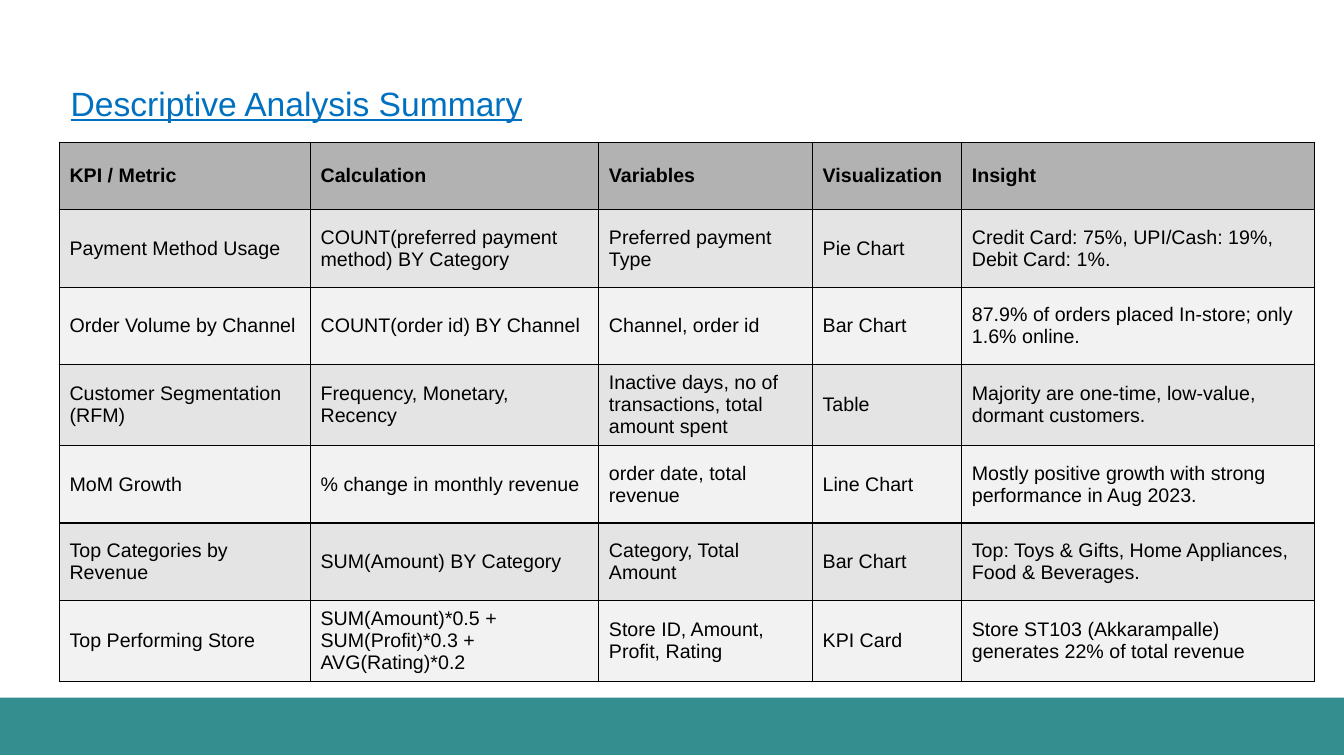
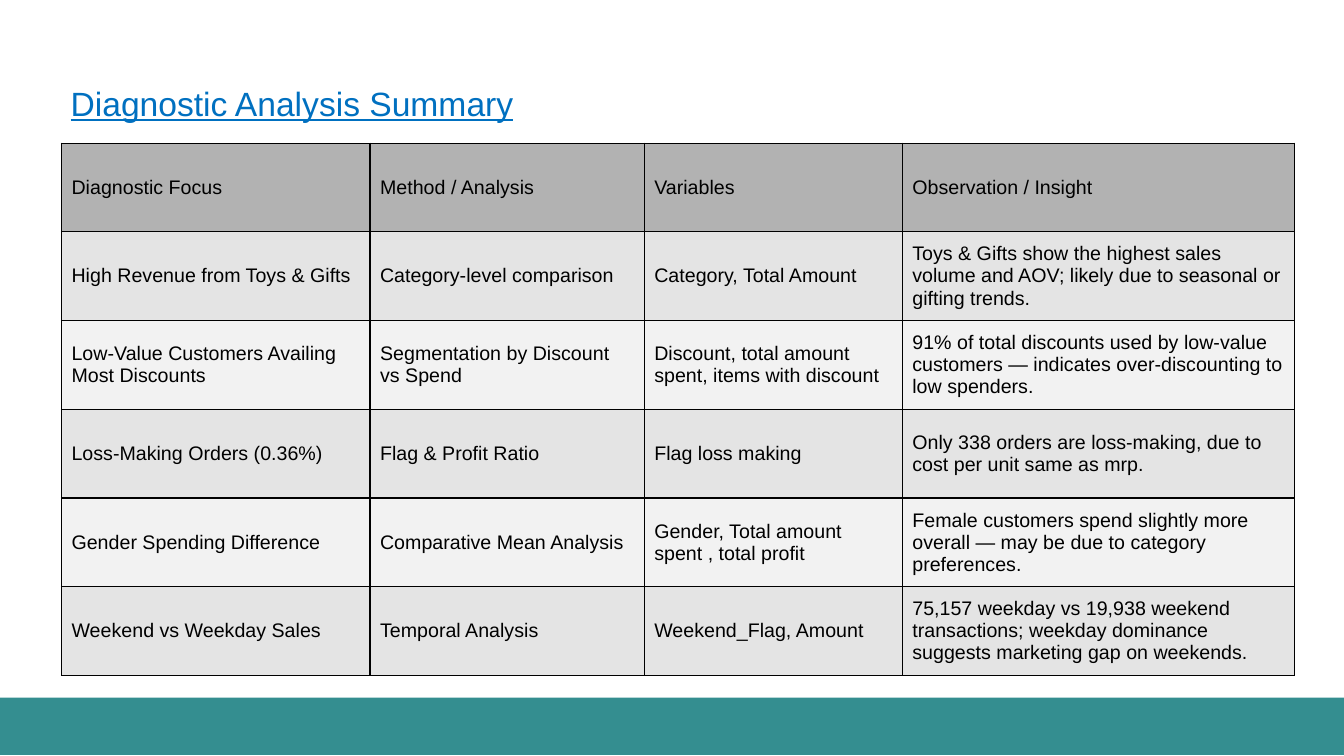
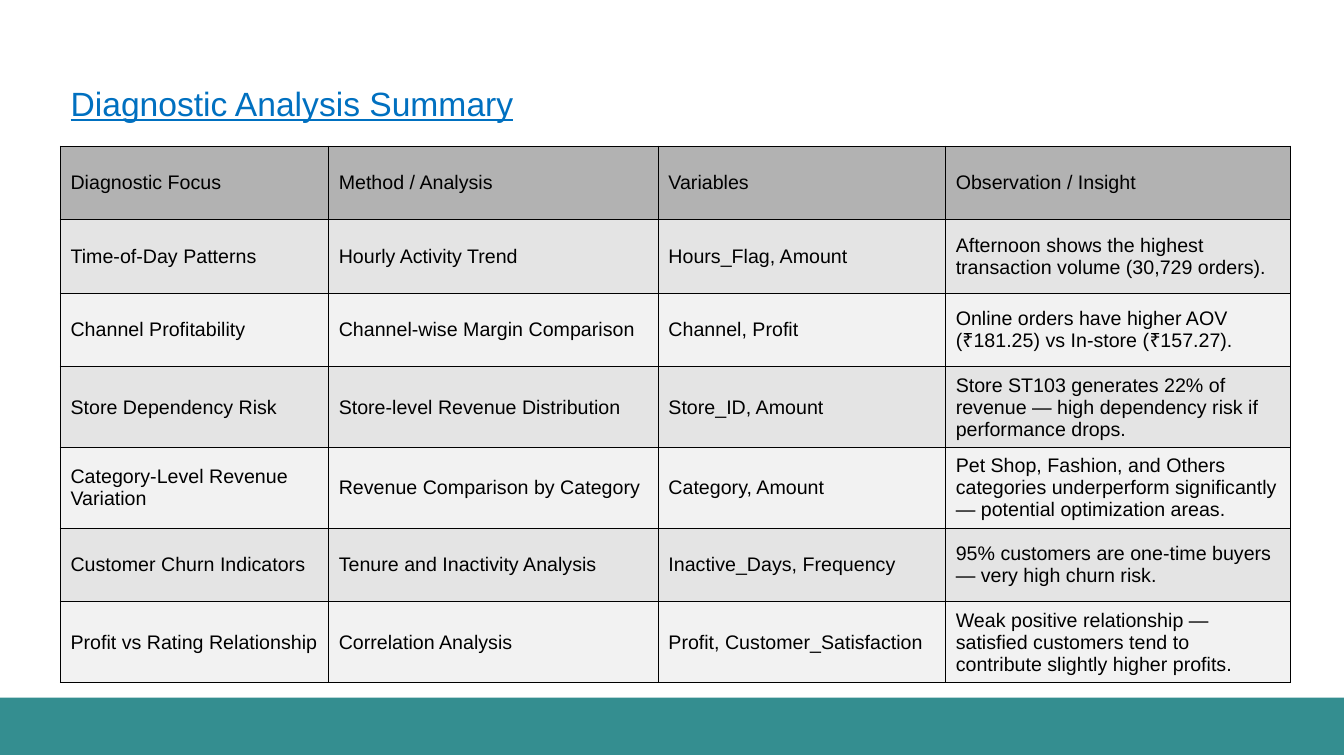
import pptx
import pptx.dml.color
import pptx.enum.shapes
import pptx.enum.text
import pptx.oxml
import pptx.oxml.ns
import pptx.util
from pptx.util import Inches

FONT = "Arial"
TEAL = "348E90"
BLUE = "0070C0"
BLACK = "000000"
HEADER_FILL = "B2B2B2"
ROW_FILLS = ["F2F2F2", "E4E4E4"]


def color(hex_string):
    return pptx.dml.color.RGBColor.from_string(hex_string)


def add_text(frame, text, size, hex_string):
    span = frame.paragraphs[0].add_run()
    span.text = text
    span.font.name = FONT
    span.font.size = pptx.util.Pt(size)
    span.font.color.rgb = color(hex_string)
    return span


# Content: title and its width, table position, column widths, row heights, cells
diagnostic_header = ["Diagnostic Focus", "Method / Analysis", "Variables", "Observation / Insight"]
summaries = [
    {
        "title": "Descriptive Analysis Summary", "title_width": 4.73,
        "left": 0.59, "top": 1.41, "bold_header": True,
        "columns": [2.49, 2.86, 2.12, 1.48, 3.5],
        "rows": [0.67] + [0.77] * 6,
        "cells": [
            ["KPI / Metric", "Calculation", "Variables", "Visualization", "Insight"],
            ["Payment Method Usage", "COUNT(preferred payment method) BY Category",
             "Preferred payment Type", "Pie Chart",
             "Credit Card: 75%, UPI/Cash: 19%, Debit Card: 1%."],
            ["Order Volume by Channel", "COUNT(order id) BY Channel",
             "Channel, order id", "Bar Chart",
             "87.9% of orders placed In-store; only 1.6% online."],
            ["Customer Segmentation (RFM)", "Frequency, Monetary, Recency",
             "Inactive days, no of transactions, total amount spent", "Table",
             "Majority are one-time, low-value, dormant customers."],
            ["MoM Growth", "% change in monthly revenue",
             "order date, total revenue", "Line Chart",
             "Mostly positive growth with strong performance in Aug 2023."],
            ["Top Categories by Revenue", "SUM(Amount) BY Category",
             "Category, Total Amount", "Bar Chart",
             "Top: Toys & Gifts, Home Appliances, Food & Beverages."],
            ["Top Performing Store", "SUM(Amount)*0.5 + SUM(Profit)*0.3 + AVG(Rating)*0.2",
             "Store ID, Amount, Profit, Rating", "KPI Card",
             "Store ST103 (Akkarampalle) generates 22% of total revenue"],
        ],
    },
    {
        "title": "Diagnostic Analysis Summary", "title_width": 4.64,
        "left": 0.61, "top": 1.42, "bold_header": False,
        "columns": [3.06, 2.72, 2.56, 3.89],
        "rows": [0.88] * 6,
        "cells": [
            diagnostic_header,
            ["High Revenue from Toys & Gifts", "Category-level comparison",
             "Category, Total Amount",
             "Toys & Gifts show the highest sales volume and AOV; likely due to seasonal or gifting trends."],
            ["Low-Value Customers Availing Most Discounts", "Segmentation by Discount vs Spend",
             "Discount, total amount spent, items with discount",
             "91% of total discounts used by low-value customers — indicates over-discounting to low spenders."],
            ["Loss-Making Orders (0.36%)", "Flag & Profit Ratio", "Flag loss making",
             "Only 338 orders are loss-making, due to cost per unit same as mrp."],
            ["Gender Spending Difference", "Comparative Mean Analysis",
             "Gender, Total amount spent , total profit",
             "Female customers spend slightly more overall — may be due to category preferences."],
            ["Weekend vs Weekday Sales", "Temporal Analysis", "Weekend_Flag, Amount",
             "75,157 weekday vs 19,938 weekend transactions; "
             "weekday dominance suggests marketing gap on weekends."],
        ],
    },
    {
        "title": "Diagnostic Analysis Summary", "title_width": 4.64,
        "left": 0.6, "top": 1.45, "bold_header": False,
        "columns": [2.66, 3.27, 2.85, 3.42],
        "rows": [0.73, 0.73, 0.73, 0.78, 0.78, 0.73, 0.78],
        "cells": [
            diagnostic_header,
            ["Time-of-Day Patterns", "Hourly Activity Trend", "Hours_Flag, Amount",
             "Afternoon shows the highest transaction volume (30,729 orders)."],
            ["Channel Profitability", "Channel-wise Margin Comparison", "Channel, Profit",
             "Online orders have higher AOV (₹181.25) vs In-store (₹157.27)."],
            ["Store Dependency Risk", "Store-level Revenue Distribution", "Store_ID, Amount",
             "Store ST103 generates 22% of revenue — high dependency risk if performance drops."],
            ["Category-Level Revenue Variation", "Revenue Comparison by Category", "Category, Amount",
             "Pet Shop, Fashion, and Others categories underperform significantly "
             "— potential optimization areas."],
            ["Customer Churn Indicators", "Tenure and Inactivity Analysis", "Inactive_Days, Frequency",
             "95% customers are one-time buyers — very high churn risk."],
            ["Profit vs Rating Relationship", "Correlation Analysis", "Profit, Customer_Satisfaction",
             "Weak positive relationship — satisfied customers tend to contribute slightly higher profits."],
        ],
    },
]

deck = pptx.Presentation()
deck.slide_width = Inches(13.33)
deck.slide_height = Inches(7.5)
layout = deck.slide_layouts[5]

for summary in summaries:
    page = deck.slides.add_slide(layout)

    # Bottom band: drawn once, then moved to the shared layout
    if summary is summaries[0]:
        band = page.shapes.add_shape(pptx.enum.shapes.MSO_SHAPE.RECTANGLE,
                                     0, Inches(6.92), deck.slide_width, Inches(0.57))
        band.shadow.inherit = False
        band.fill.solid()
        band.fill.fore_color.rgb = color(TEAL)
        band.line.fill.background()
        layout.shapes.element.append(band.element)

    # Title
    title = page.shapes.title
    title.left, title.top = Inches(0.6), Inches(0.77)
    title.width, title.height = Inches(summary["title_width"]), Inches(0.5)
    frame = title.text_frame
    frame.word_wrap = False
    frame.auto_size = pptx.enum.text.MSO_AUTO_SIZE.SHAPE_TO_FIT_TEXT
    frame.vertical_anchor = pptx.enum.text.MSO_ANCHOR.TOP
    frame.paragraphs[0].alignment = pptx.enum.text.PP_ALIGN.LEFT
    add_text(frame, summary["title"], 24, BLUE).font.underline = True

    # Table grid
    columns, rows = summary["columns"], summary["rows"]
    table = page.shapes.add_table(len(rows), len(columns),
                                  Inches(summary["left"]), Inches(summary["top"]),
                                  Inches(sum(columns)), Inches(sum(rows))).table
    for column, width in zip(table.columns, columns):
        column.width = Inches(width)
    for row, height in zip(table.rows, rows):
        row.height = Inches(height)

    # Table cells
    for row_index, texts in enumerate(summary["cells"]):
        is_header = row_index == 0
        for column_index, text in enumerate(texts):
            cell = table.cell(row_index, column_index)
            cell.vertical_anchor = pptx.enum.text.MSO_ANCHOR.MIDDLE
            properties = cell._tc.get_or_add_tcPr()
            for side in ("lnL", "lnR", "lnT", "lnB"):
                properties.append(pptx.oxml.parse_xml(
                    f'<a:{side} {pptx.oxml.ns.nsdecls("a")} w="12700"><a:solidFill>'
                    f'<a:srgbClr val="{BLACK}"/></a:solidFill></a:{side}>'))
            cell.fill.solid()
            cell.fill.fore_color.rgb = color(HEADER_FILL if is_header else ROW_FILLS[row_index % 2])
            span = add_text(cell.text_frame, text, 14, BLACK)
            span.font.bold = is_header and summary["bold_header"]

deck.save("out.pptx")
